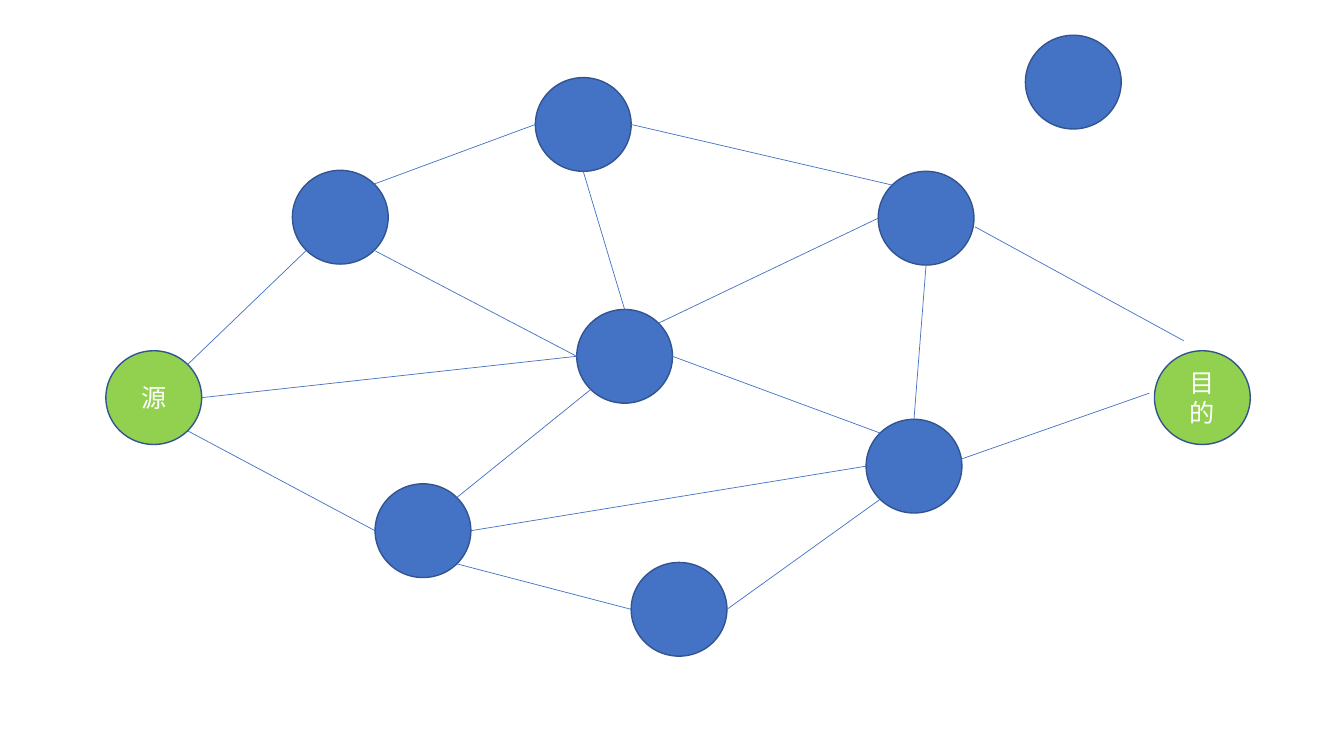
from math import cos, radians, sin

from lxml import etree
from pptx import Presentation
from pptx.dml.color import RGBColor
from pptx.enum.shapes import MSO_CONNECTOR, MSO_SHAPE
from pptx.enum.text import MSO_ANCHOR, PP_ALIGN
from pptx.oxml.ns import qn
from pptx.util import Inches, Pt

OVAL = MSO_SHAPE.OVAL
LINE = MSO_CONNECTOR.STRAIGHT
CENTER = PP_ALIGN.CENTER
MIDDLE = MSO_ANCHOR.MIDDLE
FONT = "Noto Sans CJK SC"
BLUE, GREEN, EDGE, WHITE = "4472C4", "92D050", "325491", "FFFFFF"
WIDE, HIGH = 0.95, 0.93

NODES = {
    "low": (3.72, 4.8),
    "right": (8.71, 1.7),
    "left": (2.9, 1.69),
    "goal": (11.45, 3.48),
    "hub": (5.72, 3.07),
    "source": (1.05, 3.48),
    "top": (5.31, 0.77),
    "base": (6.26, 5.58),
    "relay": (8.59, 4.16),
    "lone": (10.17, 0.35),
}
LABELS = {"source": "源", "goal": "目的"}
SIDES = {"E": 0, "SE": 45, "S": 90, "SW": 135,
         "W": 180, "NW": 225, "N": 270, "NE": 315}
LINKS = [
    ("source", "NE", "left", "SW"),
    ("left", "NE", "top", "W"),
    ("left", "SE", "hub", "W"),
    ("source", "SE", "low", "W"),
    ("source", "E", "hub", "W"),
    ("low", "E", "relay", "W"),
    ("low", "SE", "base", "W"),
    ("hub", "NE", "right", "W"),
    ("base", "E", "relay", "SW"),
    ("relay", "N", "right", "S"),
    ("hub", "E", "relay", "NW"),
    ("top", "E", "right", "NW"),
    ("top", "S", "hub", "N"),
    ("low", "NE", "hub", "SW"),
]
LOOSE = [((9.67, 2.25), (11.74, 3.38)), ((9.49, 4.57), (11.4, 3.9))]


def color(code):
    return RGBColor.from_string(code)


def port(name, side):
    left, top = NODES[name]
    turn = radians(SIDES[side])
    return (left + WIDE / 2 * (1 + cos(turn)),
            top + HIGH / 2 * (1 + sin(turn)))


def add_label(node, text):
    frame = node.text_frame
    frame.text = text
    frame.word_wrap = True
    frame.vertical_anchor = MIDDLE
    par = frame.paragraphs[0]
    par.alignment = CENTER
    run = par.runs[0]
    run.font.name, run.font.size = FONT, Pt(18)
    run.font.color.rgb = color(WHITE)
    etree.SubElement(run._r.get_or_add_rPr(), qn("a:ea")).set("typeface", FONT)


def add_node(slide, box, name):
    left, top = box[0] + NODES[name][0], box[1] + NODES[name][1]
    node = slide.shapes.add_shape(
        OVAL, Inches(left), Inches(top), Inches(WIDE), Inches(HIGH))
    node.shadow.inherit = False
    node.fill.solid()
    node.fill.fore_color.rgb = color(GREEN if name in LABELS else BLUE)
    node.line.color.rgb = color(EDGE)
    node.line.width = Pt(1)
    if name in LABELS:
        add_label(node, LABELS[name])


def add_link(slide, box, start, end):
    spots = [Inches(box[i] + spot[i]) for spot in (start, end) for i in (0, 1)]
    link = slide.shapes.add_connector(LINE, *spots)
    link.line.color.rgb = color(BLUE)
    link.line.width = Pt(0.5)
    etree.SubElement(link._element.spPr, qn("a:effectLst"))


def add_graph(slide, box):
    for name in NODES:
        add_node(slide, box, name)
    ends = [(port(a, b), port(c, d)) for a, b, c, d in LINKS]
    for start, end in ends + LOOSE:
        add_link(slide, box, start, end)


deck = Presentation()
deck.slide_width, deck.slide_height = Inches(13.33), Inches(7.5)
page = deck.slides.add_slide(deck.slide_layouts[6])
add_graph(page, (0, 0))
deck.save("out.pptx")
